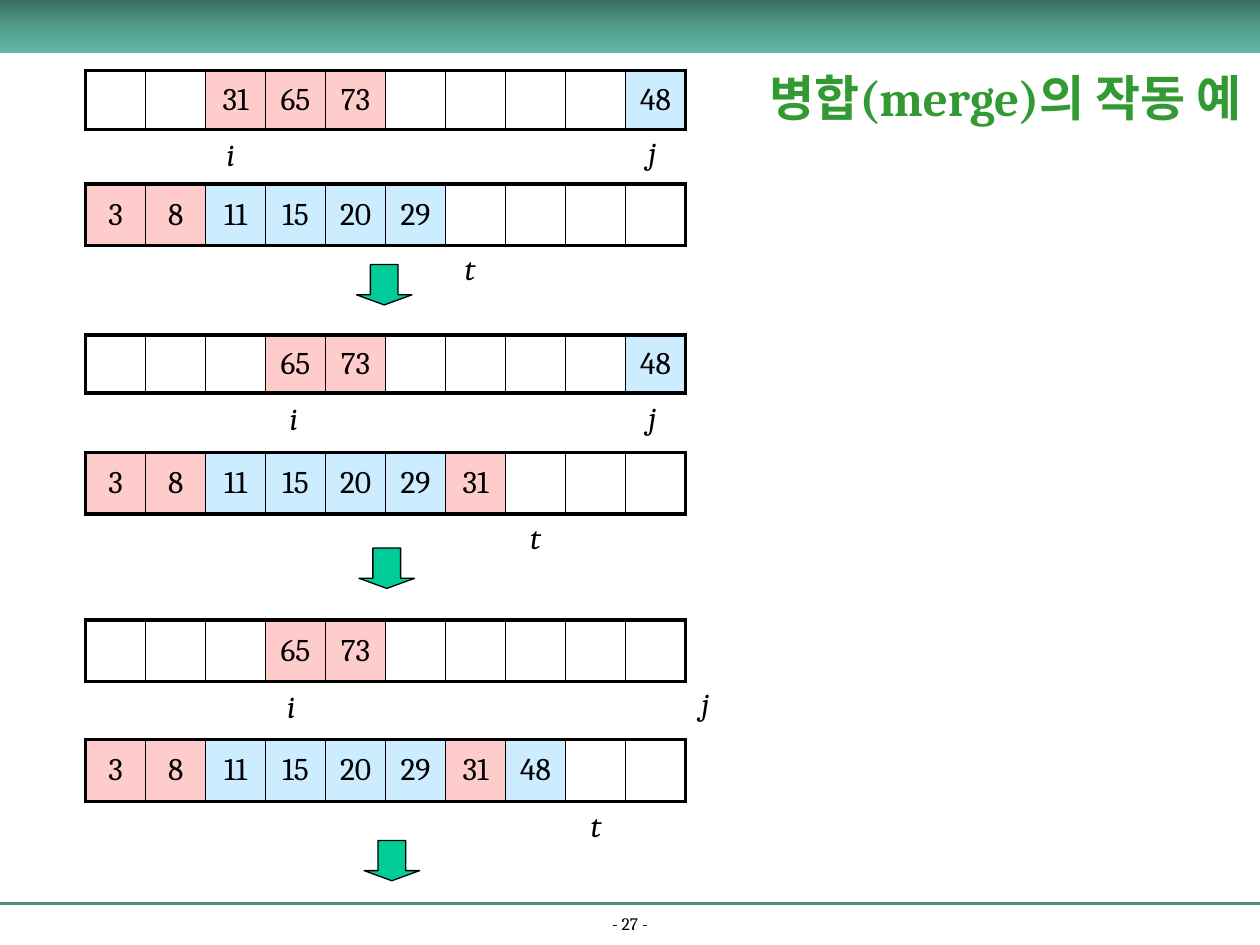
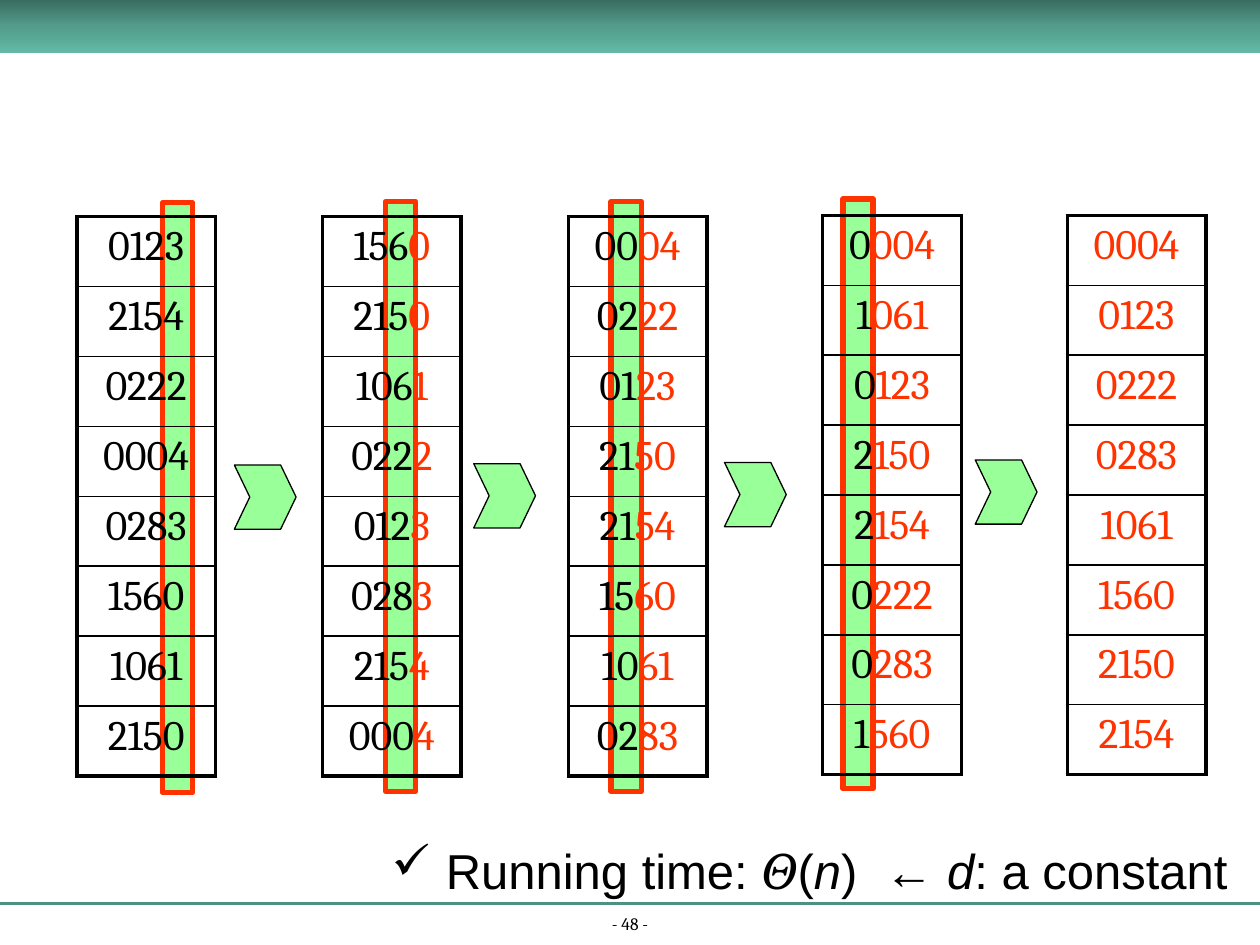
"""Build two slides on sorting: merge steps and radix sort passes."""
import pptx
import pptx.dml.color
import pptx.enum.shapes
import pptx.enum.text
import pptx.oxml
import pptx.oxml.ns
import pptx.util

COLORS = {
    "black": "000000", "title": "339933", "rule": "4C9282",
    "band_top": "3A6D62", "band_middle": "539C8B", "band_bottom": "62B9A5",
    "left_half": "FFCCCC", "right_half": "CCECFF", "down_arrow": "00CC99",
    "strip": "99FF99", "sorted": "FF3300",
}
WIDTH, HEIGHT = 10, 7.5
THIN, THICK = 1, 2.25
SHAPES = pptx.enum.shapes.MSO_SHAPE
ALIGN = pptx.enum.text.PP_ALIGN
ANCHOR = pptx.enum.text.MSO_ANCHOR

TITLE = "병합(merge)의 작동 예"
LEFT_HALF = {3, 8, 31, 65, 73}
CELLS = 10
ARRAY_LEFT, ARRAY_WIDTH = 0.68, 4.76
MERGE_STEPS = [
    {
        "arrays": [(0.56, 0.47, {2: 31, 3: 65, 4: 73, 9: 48}),
                   (1.46, 0.49, dict(enumerate([3, 8, 11, 15, 20, 29])))],
        "indices": [("i", 1.7, 1.02), ("j", 5.05, 1.01), ("t", 3.59, 1.93)],
        "arrow": (2.83, 2.1),
    },
    {
        "arrays": [(2.66, 0.46, {3: 65, 4: 73, 9: 48}),
                   (3.59, 0.49, dict(enumerate([3, 8, 11, 15, 20, 29, 31])))],
        "indices": [("i", 2.2, 3.12), ("j", 5.05, 3.11), ("t", 4.11, 4.06)],
        "arrow": (2.85, 4.35),
    },
    {
        "arrays": [(4.92, 0.49, {3: 65, 4: 73}),
                   (5.87, 0.49, dict(enumerate([3, 8, 11, 15, 20, 29, 31, 48])))],
        "indices": [("i", 2.18, 5.4), ("j", 5.47, 5.38), ("t", 4.59, 6.35)],
        "arrow": (2.89, 6.67),
    },
]

NUMBERS = ["0123", "2154", "0222", "0004", "0283", "1560", "1061", "2150"]
DIGITS = 4
LIST_WIDTH, LIST_HEIGHT = 1.1, 4.44
LIST_PLACES = [(0.61, 1.72), (2.56, 1.72), (4.51, 1.72), (6.53, 1.71), (8.47, 1.71)]
PASS_MARKS = [
    ((1.29, 1.61), (1.86, 3.69)),
    ((3.06, 1.6), (3.76, 3.68)),
    ((4.85, 1.6), (5.75, 3.67)),
    ((6.69, 1.58), (7.74, 3.65)),
]
RUNNING_TIME = [
    ("Running time: ", {}), ("Θ", {"name": "Cambria", "italic": True}), ("(", {}),
    ("n", {"italic": True}), (") ", {}), ("← ", {}),
    ("d", {"italic": True}), (": a constant", {}),
]


def inches(*lengths):
    return [pptx.util.Inches(length) for length in lengths]


def rgb(name):
    return pptx.dml.color.RGBColor.from_string(COLORS[name])


def set_attributes(target, values):
    for name, value in values.items():
        setattr(target, name, value)


def add_run(paragraph, text, size, color="black", **values):
    run = paragraph.add_run()
    run.text = text
    set_attributes(run.font, {"name": "Cambria", "size": pptx.util.Pt(size), **values})
    run.font.color.rgb = rgb(color)
    return run


def add_text_box(slide, place, wrap=True, anchor=ANCHOR.TOP, align=ALIGN.LEFT):
    frame = slide.shapes.add_textbox(*inches(*place)).text_frame
    set_attributes(frame, {"word_wrap": wrap, "vertical_anchor": anchor})
    if not wrap:
        frame.auto_size = pptx.enum.text.MSO_AUTO_SIZE.SHAPE_TO_FIT_TEXT
    frame.paragraphs[0].alignment = align
    return frame.paragraphs[0]


def add_shape(shapes, kind, place, fill, line="black", line_width=0.75):
    shape = shapes.add_shape(kind, *inches(*place))
    shape.shadow.inherit = False
    shape.fill.solid()
    shape.fill.fore_color.rgb = rgb(fill)
    shape.line.color.rgb = rgb(line)
    shape.line.width = pptx.util.Pt(line_width)
    return shape


def add_band(slide):
    band = add_shape(slide.shapes, SHAPES.RECTANGLE, (0, 0, WIDTH, 0.42), "band_top")
    band.line.fill.background()
    stops = "".join(
        f'<a:gs pos="{position}"><a:srgbClr val="{COLORS[name]}"/></a:gs>'
        for position, name in
        ((0, "band_top"), (50000, "band_middle"), (100000, "band_bottom")))
    gradient = pptx.oxml.parse_xml(
        f'<a:gradFill {pptx.oxml.ns.nsdecls("a")} rotWithShape="1">'
        f'<a:gsLst>{stops}</a:gsLst><a:lin ang="5400000" scaled="0"/></a:gradFill>')
    properties = band._element.spPr
    properties.replace(properties.find(pptx.oxml.ns.qn("a:solidFill")), gradient)


def add_slide(presentation, number):
    slide = presentation.slides.add_slide(presentation.slide_layouts[6])
    rule = slide.shapes.add_connector(
        pptx.enum.shapes.MSO_CONNECTOR.STRAIGHT, *inches(0, 7.17, WIDTH, 7.17))
    rule.line.color.rgb = rgb("rule")
    rule.line.width = pptx.util.Pt(1.5)
    rule._element.spPr.append(
        pptx.oxml.parse_xml(f'<a:effectLst {pptx.oxml.ns.nsdecls("a")}/>'))
    footer = add_text_box(slide, (0, 7.24, WIDTH, 0.22),
                          anchor=ANCHOR.BOTTOM, align=ALIGN.CENTER)
    add_run(footer, f"- {number} -", 10)
    add_band(slide)
    return slide


def set_borders(cell, widths):
    properties = cell._tc.get_or_add_tcPr()
    for position, (side, width) in enumerate(zip("LRTB", widths)):
        properties.insert(position, pptx.oxml.parse_xml(
            f'<a:ln{side} {pptx.oxml.ns.nsdecls("a")} w="{int(width * 12700)}">'
            f'<a:solidFill><a:srgbClr val="{COLORS["black"]}"/></a:solidFill>'
            f'</a:ln{side}>'))


def add_grid(slide, rows, columns, place, fill_cell):
    table = slide.shapes.add_table(rows, columns, *inches(*place)).table
    set_attributes(table, {"first_row": False, "horz_banding": False})
    for column in table.columns:
        column.width = pptx.util.Inches(place[2] / columns)
    for row in table.rows:
        row.height = pptx.util.Inches(place[3] / rows)
    for row in range(rows):
        for column in range(columns):
            cell = table.cell(row, column)
            cell.fill.background()
            cell.text_frame.paragraphs[0].alignment = ALIGN.CENTER
            fill_cell(cell, row, column)
            edges = (column == 0, column == columns - 1, row == 0, row == rows - 1)
            set_borders(cell, [THICK if edge else THIN for edge in edges])


def add_array(slide, top, height, values):
    def fill_cell(cell, row, column):
        cell.vertical_anchor = ANCHOR.MIDDLE
        if column in values:
            value = values[column]
            cell.fill.solid()
            cell.fill.fore_color.rgb = rgb(
                "left_half" if value in LEFT_HALF else "right_half")
            add_run(cell.text_frame.paragraphs[0], str(value), 18)

    add_grid(slide, 1, CELLS, (ARRAY_LEFT, top, ARRAY_WIDTH, height), fill_cell)


def add_number_list(slide, place, numbers, sorted_digits):
    def fill_cell(cell, row, column):
        split = DIGITS - sorted_digits
        parts = ((numbers[row][:split], "black"), (numbers[row][split:], "sorted"))
        for text, color in parts:
            if text:
                add_run(cell.text_frame.paragraphs[0], text, 24, color)

    add_grid(slide, len(numbers), 1, (*place, LIST_WIDTH, LIST_HEIGHT), fill_cell)


def build_merge_slide(presentation):
    slide = add_slide(presentation, 27)
    for step in MERGE_STEPS:
        for array in step["arrays"]:
            add_array(slide, *array)
        for name, left, top in step["indices"]:
            label = add_text_box(slide, (left, top, 0.27, 0.4), wrap=False)
            add_run(label, name, 18, italic=True)
        arrow = add_shape(slide.shapes, SHAPES.DOWN_ARROW,
                          (*step["arrow"], 0.44, 0.32), "down_arrow")
        arrow.adjustments[0], arrow.adjustments[1] = 0.5, 0.25
    title = add_text_box(slide, (5.96, 0.33, 4.04, 0.88),
                         anchor=ANCHOR.MIDDLE, align=ALIGN.CENTER)
    add_run(title, TITLE, 28, "title", bold=True)


def add_running_time(slide):
    paragraph = add_text_box(slide, (3.01, 6.62, 6.89, 0.57), wrap=False)
    properties = paragraph._p.get_or_add_pPr()
    indent = pptx.util.Inches(0.43)
    properties.set("marL", str(indent))
    properties.set("indent", str(-indent))
    properties.append(pptx.oxml.parse_xml(
        f'<a:buChar {pptx.oxml.ns.nsdecls("a")} char="✓"/>'))
    for text, values in RUNNING_TIME:
        run = add_run(paragraph, text, 28, **{"name": "Arial", **values})
        if text == ") ":
            run._r.get_or_add_rPr().set("spc", "390")


def build_radix_slide(presentation):
    slide = add_slide(presentation, 48)
    for strip_place, chevron_place in PASS_MARKS:
        group = slide.shapes.add_group_shape()
        add_shape(group.shapes, SHAPES.RECTANGLE, (*strip_place, 0.24, 4.68),
                  "strip", "sorted", 3)
        chevron = add_shape(group.shapes, SHAPES.CHEVRON,
                            (*chevron_place, 0.49, 0.51), "strip")
        chevron.adjustments[0] = 0.25
    numbers = NUMBERS
    for sorted_digits, place in enumerate(LIST_PLACES):
        add_number_list(slide, place, numbers, sorted_digits)
        digit = DIGITS - 1 - sorted_digits
        numbers = sorted(numbers, key=lambda number: number[digit])
    add_running_time(slide)


def main():
    presentation = pptx.Presentation()
    presentation.slide_width, presentation.slide_height = inches(WIDTH, HEIGHT)
    build_merge_slide(presentation)
    build_radix_slide(presentation)
    presentation.save("out.pptx")


if __name__ == "__main__":
    main()
